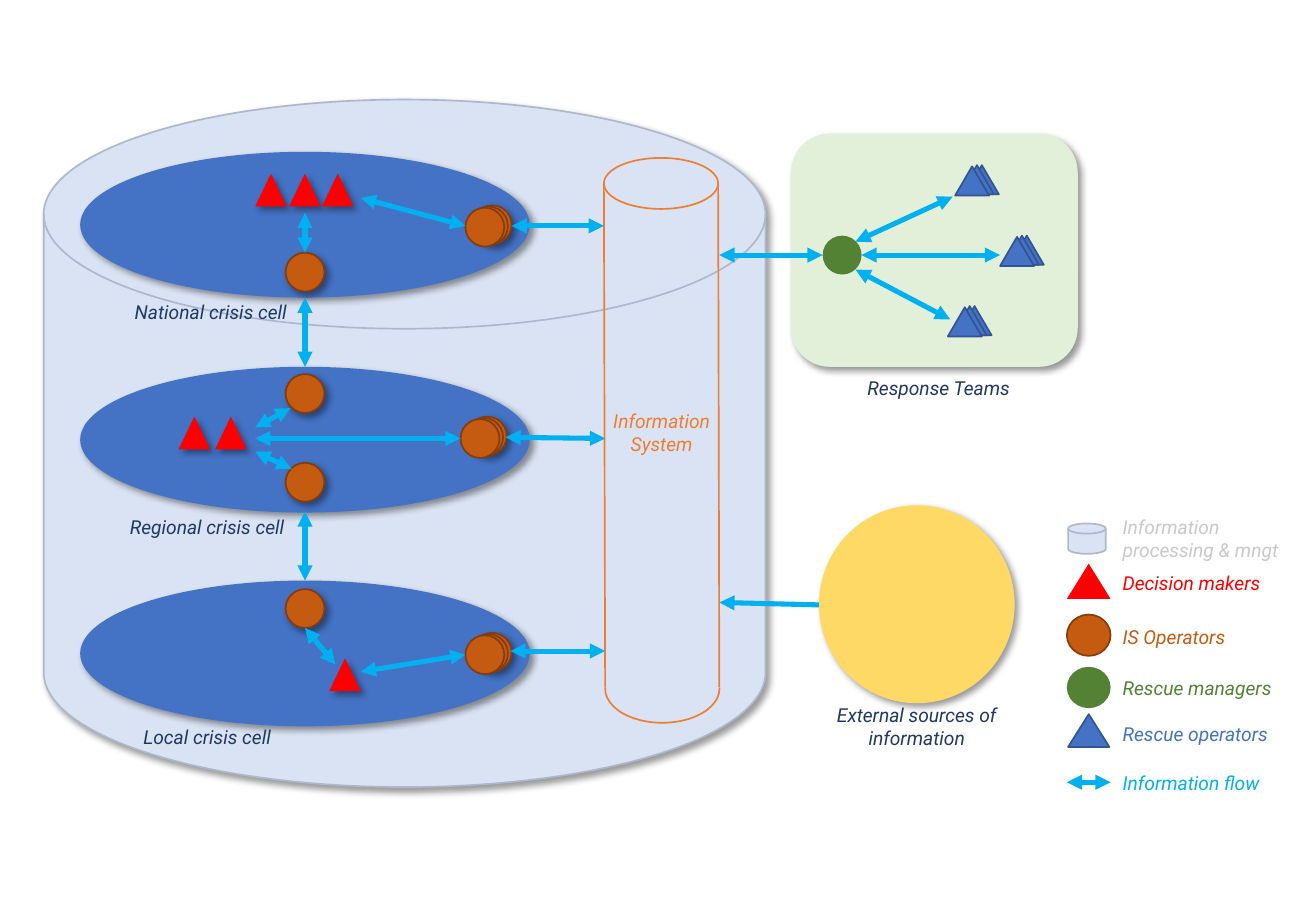
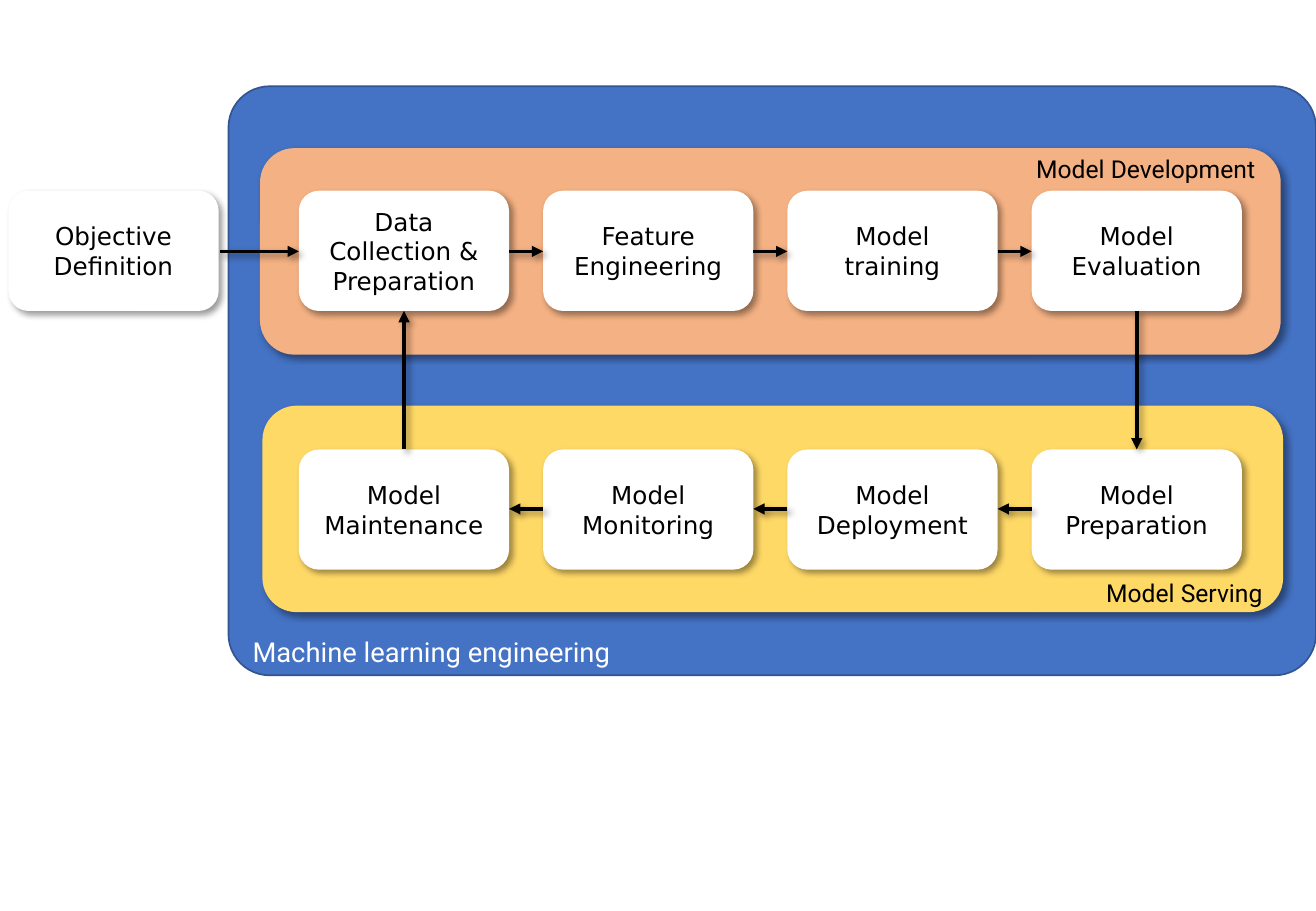
import pptx
import pptx.dml.color
import pptx.enum.shapes
import pptx.enum.text
import pptx.oxml
import pptx.oxml.ns
import pptx.util
from lxml import etree

Inches = pptx.util.Inches
Pt = pptx.util.Pt
SHAPE = pptx.enum.shapes.MSO_SHAPE
ALIGN = pptx.enum.text.PP_ALIGN
ANCHOR = pptx.enum.text.MSO_ANCHOR
qn = pptx.oxml.ns.qn


class Theme:
    white, black, navy, red, grey = "FFFFFF", "000000", "203864", "FF0000", "C9C9C9"
    blue, blue_line = "4472C4", "325491"
    rust, rust_line = "C55A11", "843C0B"
    pale, pale_line = "DAE3F3", "ADB9CA"
    orange, peach, yellow = "ED7D31", "F4B183", "FFD966"
    green, mint, sky = "548235", "E2F0D9", "00B0F0"
    label = dict(name="Roboto", size=Pt(11.4), italic=True)
    step = dict(name="DejaVu Sans", size=Pt(14.6))
    caption = dict(name="Roboto", size=Pt(14.6))
    heading = dict(name="Roboto", size=Pt(16.2))
    shadow = (
        '<a:outerShdw xmlns:a="http://schemas.openxmlformats.org/drawingml/2006/main"'
        ' blurRad="50800" dist="38100" dir="2700000" algn="tl" rotWithShape="0">'
        '<a:srgbClr val="000000"><a:alpha val="40000"/></a:srgbClr></a:outerShdw>'
    )


T = Theme
rgb = pptx.dml.color.RGBColor.from_string


def add(s, kind, box, fill=None, line=None, shadow=False, text="", font=T.label,
        color=T.navy, align=ALIGN.CENTER, anchor=ANCHOR.MIDDLE):
    box = [Inches(v) for v in box]
    if kind is None:
        sp = s.shapes.add_textbox(*box)
        sp.text_frame.auto_size = pptx.enum.text.MSO_AUTO_SIZE.SHAPE_TO_FIT_TEXT
    else:
        sp = s.shapes.add_shape(kind, *box)
        if fill:
            sp.fill.solid()
            sp.fill.fore_color.rgb = rgb(fill)
        else:
            sp.fill.background()
        if line:
            sp.line.color.rgb = rgb(line)
            sp.line.width = Pt(1)
        else:
            sp.line.fill.background()
        sp.shadow.inherit = False
        if shadow:
            effects = sp._element.spPr.find(qn("a:effectLst"))
            effects.append(pptx.oxml.parse_xml(T.shadow))
    if text:
        tf = sp.text_frame
        tf.word_wrap = True
        tf.vertical_anchor = anchor
        p = tf.paragraphs[0]
        p.alignment = align
        r = p.add_run()
        r.text = text
        for name, value in font.items():
            setattr(r.font, name, value)
        r.font.color.rgb = rgb(color)
    return sp


def connect(s, ends, color, width, heads=(), shadow=False):
    c = s.shapes.add_connector(pptx.enum.shapes.MSO_CONNECTOR.STRAIGHT,
                               *[Inches(v) for v in ends])
    c.line.color.rgb = rgb(color)
    c.line.width = Pt(width)
    for head in heads:
        etree.SubElement(c.line._get_or_add_ln(), qn(f"a:{head}"), type="triangle")
    effects = etree.SubElement(c._element.spPr, qn("a:effectLst"))
    if shadow:
        effects.append(pptx.oxml.parse_xml(T.shadow))


prs = pptx.Presentation()
prs.slide_width, prs.slide_height = Inches(10.83), Inches(7.5)
blank = prs.slide_layouts[6]

s = prs.slides.add_slide(blank)
add(s, SHAPE.FLOWCHART_MAGNETIC_DISK, (0.36, 0.82, 5.94, 5.66), T.pale, T.pale_line, True)

add(s, SHAPE.OVAL, (4.97, 1.3, 0.94, 0.42), line=T.orange)
for x in (4.97, 5.91):
    connect(s, (x, 1.51, x + 0.01, 5.66), T.orange, 1)
base = add(s, SHAPE.ARC, (4.98, 5.39, 0.94, 0.56), line=T.orange)
base.rotation = 180
base.adjustments[0], base.adjustments[1] = 107.31, 0.77

add(s, SHAPE.ROUNDED_RECTANGLE, (6.51, 1.1, 2.36, 1.92), T.mint, shadow=True)
add(s, SHAPE.OVAL, (6.74, 4.16, 1.61, 1.63), T.yellow, shadow=True)
for y in (1.25, 3.02, 4.78):
    add(s, SHAPE.OVAL, (0.66, y, 3.7, 1.2), T.blue, shadow=True)

for text, box, color in (
    ("Information System", (4.8, 3.32, 1.29, 0.48), T.orange),
    ("National crisis cell", (0.79, 2.42, 1.89, 0.29), T.navy),
    ("Regional crisis cell", (0.76, 4.19, 1.89, 0.29), T.navy),
    ("Local crisis cell", (0.92, 5.92, 1.57, 0.29), T.navy),
    ("Response Teams", (6.94, 3.05, 1.57, 0.29), T.navy),
    ("External sources of information", (6.76, 5.74, 1.57, 0.48), T.navy),
):
    add(s, None, box, text=text, color=color)

add(s, SHAPE.OVAL, (6.77, 1.94, 0.32, 0.32), T.green)
for x, y in ((7.86, 1.37), (8.23, 1.95), (7.8, 2.53)):
    for depth in (2, 1, 0):
        add(s, SHAPE.ISOSCELES_TRIANGLE,
            (x + 0.04 * depth, y - 0.01 * (depth > 0), 0.28, 0.24), T.blue, T.blue_line)
for x, y in ((3.83, 1.71), (3.79, 3.45), (3.83, 5.23)):
    for depth in (2, 1, 0):
        add(s, SHAPE.OVAL, (x + 0.03 * depth, y - 0.01 * depth, 0.32, 0.32),
            T.rust, T.rust_line, depth == 2)
for y in (2.08, 3.08, 3.81, 4.85):
    add(s, SHAPE.OVAL, (2.35, y, 0.32, 0.32), T.rust, T.rust_line, True)
for x, y in ((2.1, 1.43), (2.38, 1.43), (2.65, 1.43), (1.47, 3.43), (1.77, 3.43), (2.71, 5.42)):
    add(s, SHAPE.ISOSCELES_TRIANGLE, (x, y, 0.26, 0.27), T.red, shadow=True)

for ends in (
    (2.51, 4.21, 2.51, 4.78),
    (2.51, 2.45, 2.51, 3.02),
    (2.51, 2.08, 2.51, 1.75),
    (2.97, 1.63, 3.83, 1.86),
    (3.79, 3.61, 2.1, 3.61),
    (2.39, 3.36, 2.1, 3.52),
    (2.4, 3.86, 2.1, 3.72),
    (2.51, 5.17, 2.76, 5.47),
    (3.83, 5.39, 2.97, 5.53),
    (4.21, 1.86, 4.97, 1.86),
    (4.98, 3.61, 4.16, 3.6),
    (4.98, 5.36, 4.2, 5.36),
    (6.77, 2.1, 5.92, 2.1),
    (7.84, 1.62, 7.04, 1.99),
    (8.23, 2.1, 7.09, 2.1),
    (7.82, 2.63, 7.04, 2.22),
    (9.14, 6.44, 8.78, 6.44),
):
    connect(s, ends, T.sky, 3, ("headEnd", "tailEnd"))
connect(s, (6.74, 4.98, 5.92, 4.96), T.sky, 3, ("tailEnd",))

for kind, box, fill, line in (
    (SHAPE.FLOWCHART_MAGNETIC_DISK, (8.79, 4.31, 0.31, 0.25), T.pale, T.pale_line),
    (SHAPE.ISOSCELES_TRIANGLE, (8.78, 4.64, 0.36, 0.29), T.red, None),
    (SHAPE.OVAL, (8.78, 5.06, 0.36, 0.34), T.rust, T.rust_line),
    (SHAPE.OVAL, (8.78, 5.49, 0.36, 0.34), T.green, None),
    (SHAPE.ISOSCELES_TRIANGLE, (8.79, 5.88, 0.34, 0.27), T.blue, T.blue_line),
):
    add(s, kind, box, fill, line)
for text, y, h, color in (
    ("Information processing & mngt", 4.09, 0.68, T.grey),
    ("Decision makers", 4.65, 0.29, T.red),
    ("IS Operators", 5.1, 0.29, T.rust),
    ("Rescue managers", 5.52, 0.29, T.green),
    ("Rescue operators", 5.9, 0.29, T.blue),
    ("Information flow", 6.3, 0.29, T.sky),
):
    add(s, None, (9.14, y, 1.5, h), text=text, color=color, align=ALIGN.LEFT)

s = prs.slides.add_slide(blank)
frame = add(s, SHAPE.ROUNDED_RECTANGLE, (1.88, 0.71, 8.95, 4.85), T.blue, T.blue_line)
frame.adjustments[0] = 0.07
add(s, SHAPE.ROUNDED_RECTANGLE, (2.14, 1.22, 8.4, 1.7), T.peach, shadow=True)
add(s, SHAPE.ROUNDED_RECTANGLE, (2.16, 3.34, 8.4, 1.7), T.yellow, shadow=True)

left, pitch, step_w, step_h = 2.46, 2.01, 1.73, 0.99
development_y, serving_y = 1.57, 3.7
steps = [("Objective Definition", 0.07, development_y)]
for y, names in (
    (development_y, ("Data Collection & Preparation", "Feature Engineering",
                     "Model training", "Model Evaluation")),
    (serving_y, ("Model Maintenance", "Model Monitoring",
                 "Model Deployment", "Model Preparation")),
):
    steps += [(name, left + i * pitch, y) for i, name in enumerate(names)]
for name, x, y in steps:
    add(s, SHAPE.ROUNDED_RECTANGLE, (x, y, step_w, step_h), T.white, shadow=True,
        text=name, font=T.step, color=T.black)

first_x = left + step_w / 2
last_x = first_x + 3 * pitch
flows = [
    (1.81, 2.07, left, 2.07),
    (last_x, development_y + step_h, last_x, serving_y),
    (first_x, serving_y, first_x, development_y + step_h),
]
for i in range(3):
    start, end = left + i * pitch + step_w, left + (i + 1) * pitch
    flows += [(start, 2.07, end, 2.07), (end, 4.19, start, 4.19)]
for ends in flows:
    connect(s, ends, T.black, 2.25, ("tailEnd",), True)

for text, box, font, color, align in (
    ("Model Development", (8.09, 1.22, 2.34, 0.35), T.caption, T.black, ALIGN.RIGHT),
    ("Model Serving", (8.02, 4.71, 2.47, 0.35), T.caption, T.black, ALIGN.RIGHT),
    ("Machine learning engineering", (1.98, 5.18, 3.31, 0.37), T.heading, T.white, ALIGN.LEFT),
):
    add(s, None, box, text=text, font=font, color=color, align=align, anchor=ANCHOR.TOP)

prs.save("out.pptx")
